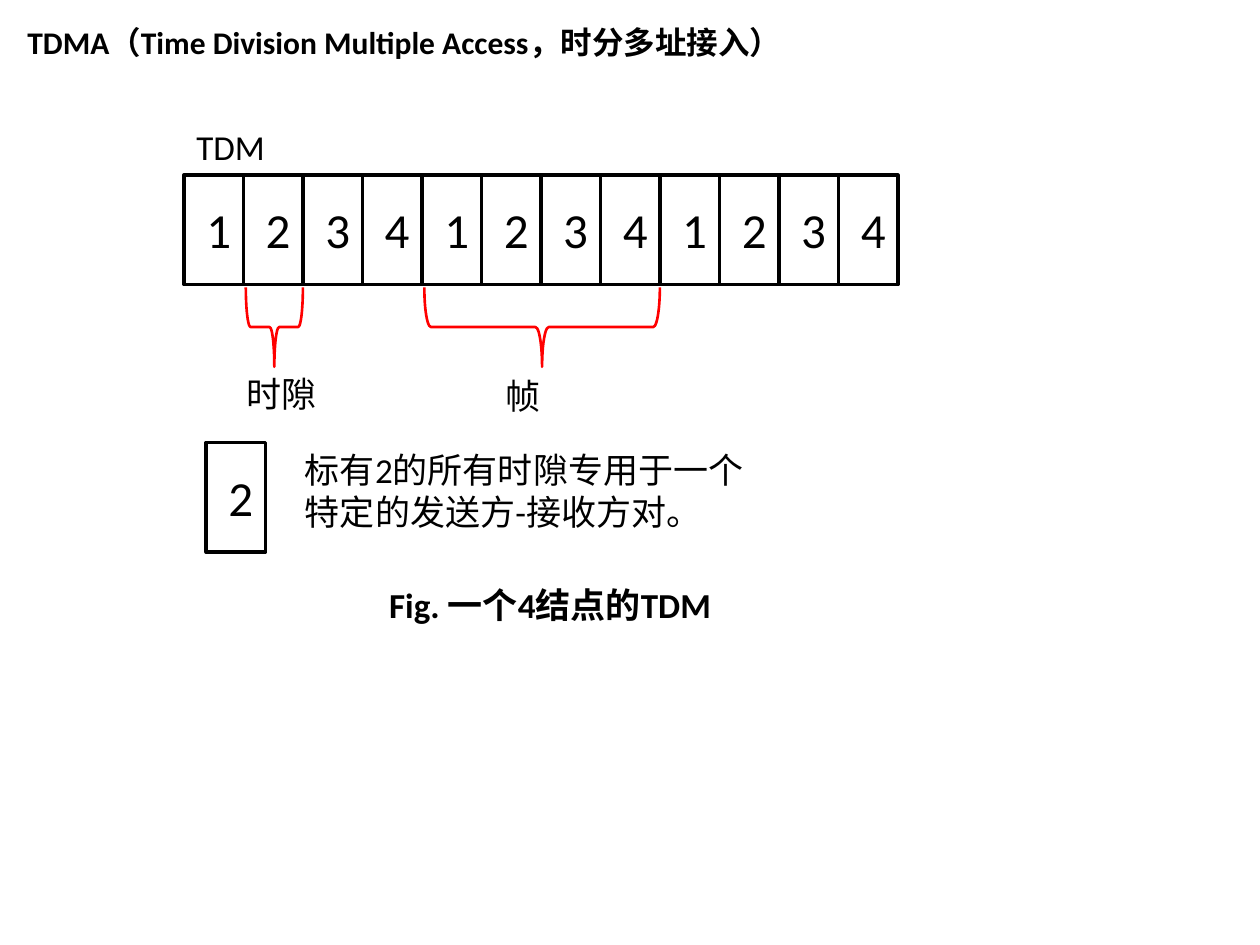
from dataclasses import dataclass

from pptx import Presentation
from pptx.dml.color import RGBColor
from pptx.enum.shapes import MSO_SHAPE as Preset
from pptx.util import Pt


@dataclass(frozen=True)
class Theme:
    """Colours, font and type sizes of the slide."""
    ink: RGBColor = RGBColor(0, 0, 0)
    accent: RGBColor = RGBColor(255, 0, 0)
    font: str = "Calibri"
    heading: int = 18
    label: int = 20
    digit: int = 28
    slot_line: float = 2
    brace_line: float = 1.5


THEME = Theme()
SLOT_WIDTH, SLOT_HEIGHT = 34, 62.6
NODES, FRAMES = 4, 3
ROW_LEFT, ROW_TOP = 105.1, 100.1


def add_label(slide, text, box, size, bold=False):
    """Add one paragraph of wrapped text in a box given in points."""
    label = slide.shapes.add_textbox(*map(Pt, box))
    label.text_frame.word_wrap = True
    run = label.text_frame.paragraphs[0].add_run()
    run.text = text
    formats = {"name": THEME.font, "size": Pt(size), "bold": bold}
    for attribute, value in formats.items():
        setattr(run.font, attribute, value)
    run.font.color.rgb = THEME.ink


def add_outline(slide, preset, box, color, weight):
    """Add an unfilled preset shape and return it."""
    outline = slide.shapes.add_shape(preset, *map(Pt, box))
    outline.shadow.inherit = False
    outline.fill.background()
    outline.line.color.rgb = color
    outline.line.width = Pt(weight)
    return outline


def add_slot(slide, number, left, top):
    """Add a time slot with its node number."""
    add_outline(slide, Preset.RECTANGLE, (left, top, SLOT_WIDTH, SLOT_HEIGHT),
                THEME.ink, THEME.slot_line)
    add_label(slide, str(number), (left + 5.7, top + 10.5, 22.4, 41), THEME.digit)


def add_brace(slide, left, top, span, depth):
    """Add a brace that opens upward over a span and points down."""
    box = (left + (span - depth) / 2, top + (depth - span) / 2, depth, span)
    brace = add_outline(slide, Preset.LEFT_BRACE, box, THEME.accent, THEME.brace_line)
    brace.rotation = 270


def main():
    """Build the TDMA slide and save it."""
    deck = Presentation()
    deck.slide_width, deck.slide_height = Pt(720), Pt(540)
    slide = deck.slides.add_slide(deck.slide_layouts[6])

    add_label(slide, "TDMA（Time Division Multiple Access，时分多址接入）",
              (8.6, 9.4, 674.6, 29), THEME.heading, bold=True)
    for index in range(NODES * FRAMES):
        add_slot(slide, index % NODES + 1, ROW_LEFT + index * SLOT_WIDTH, ROW_TOP)
    for first_slot, slot_count in ((1, 1), (NODES, NODES)):
        add_brace(slide, ROW_LEFT + first_slot * SLOT_WIDTH + 1.4, 164.2,
                  slot_count * SLOT_WIDTH - 1.4, 45.4)
    add_slot(slide, 2, 117.8, 252.9)

    captions = (
        ("TDM", (105.1, 68.4, 56.2, 31.5), False),
        ("时隙", (133.9, 209.5, 56.2, 31.5), False),
        ("帧", (281.5, 210.2, 56.2, 31.5), False),
        ("标有2的所有时隙专用于一个特定的发送方-接收方对。",
         (167.2, 252.9, 266.4, 55.7), False),
        ("Fig. 一个4结点的TDM", (215.3, 329.8, 266.4, 31.5), True),
    )
    for text, box, bold in captions:
        add_label(slide, text, box, THEME.label, bold)

    deck.save("out.pptx")


main()
